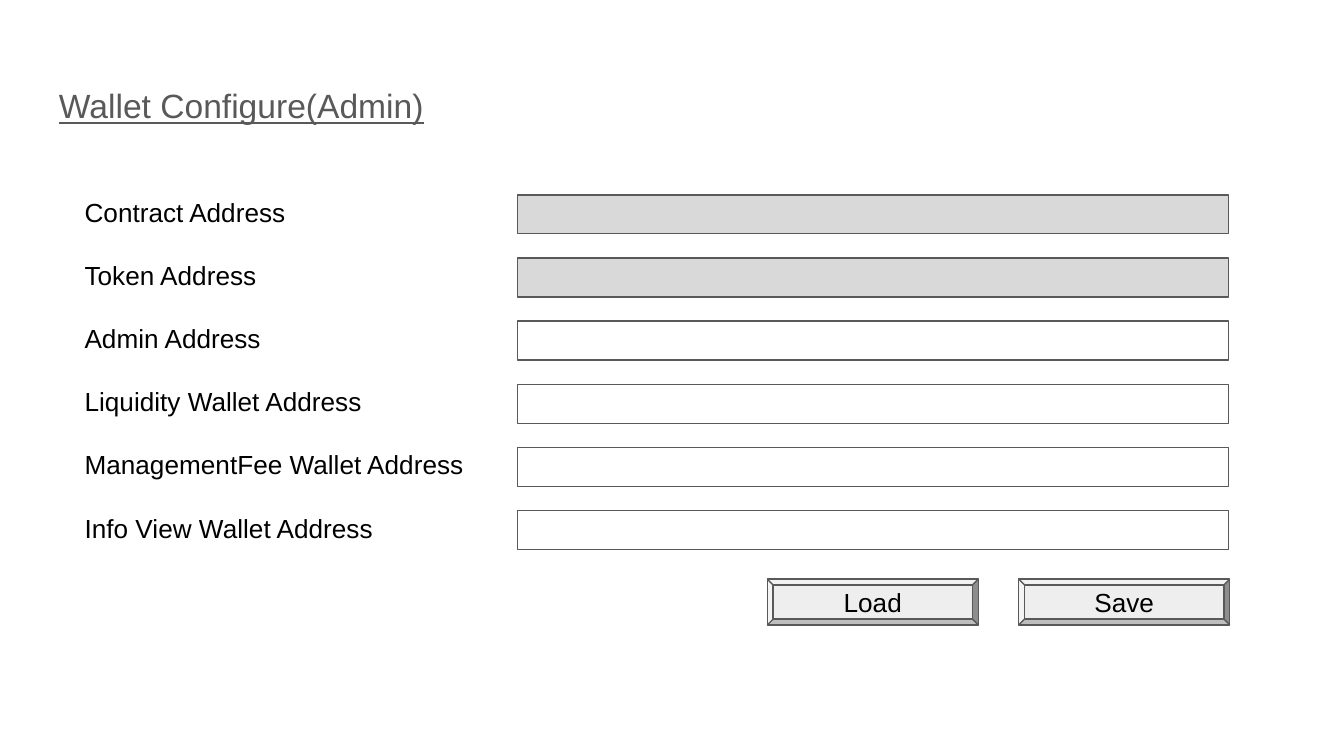
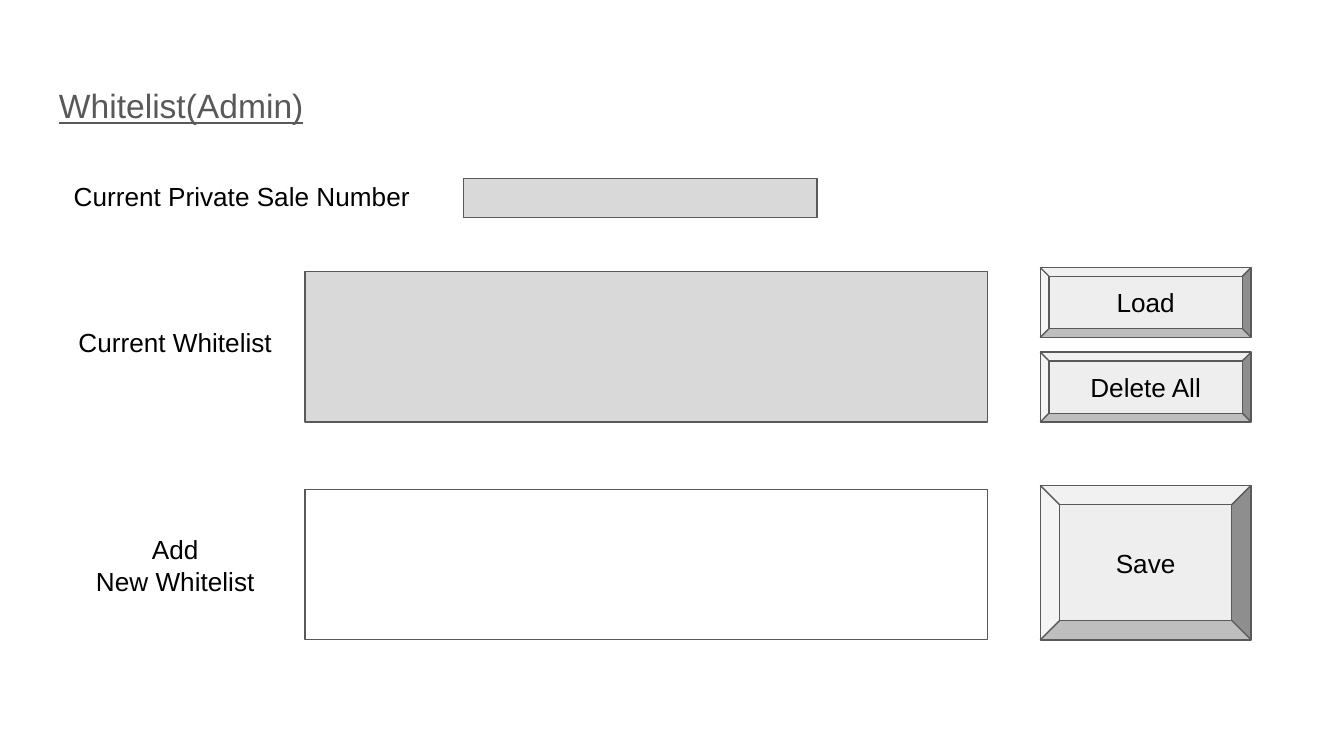
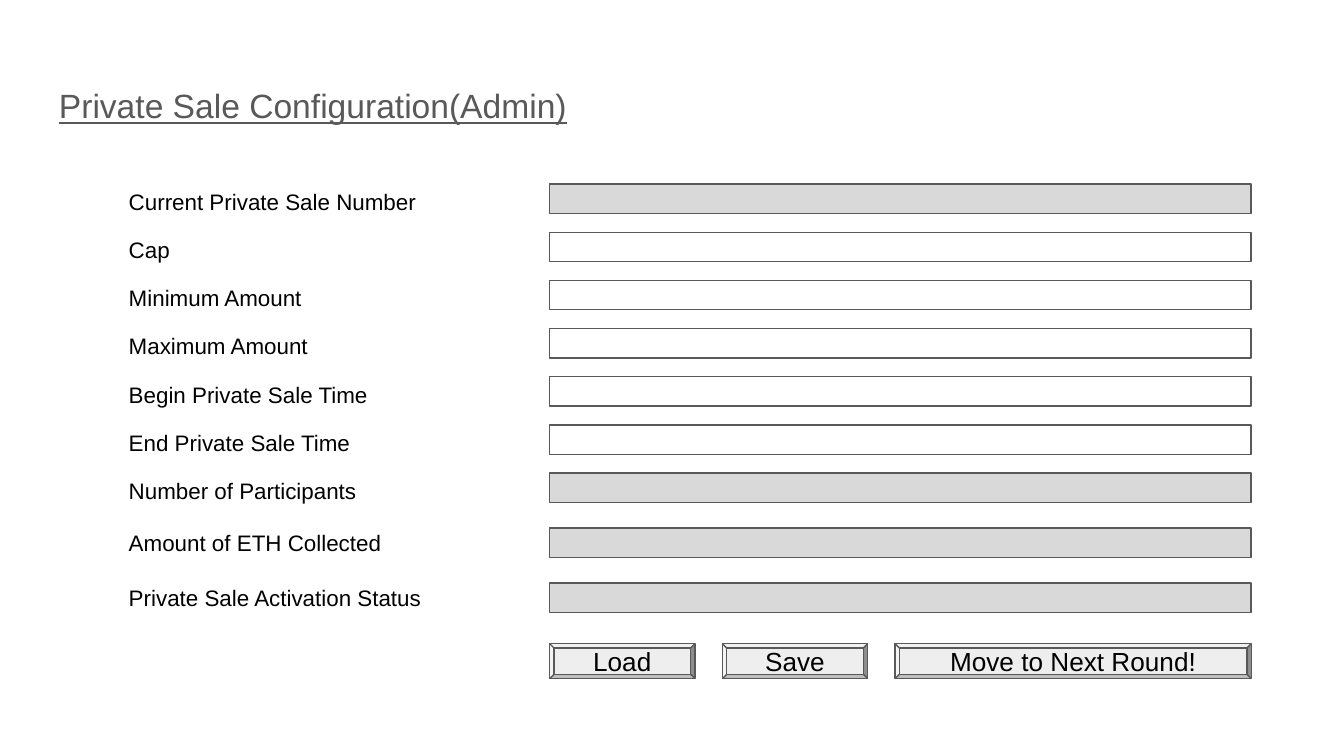
import pptx
import pptx.util
import pptx.dml.color
import pptx.enum.shapes
import pptx.enum.text

Pt = pptx.util.Pt
SHAPE = pptx.enum.shapes.MSO_SHAPE
ALIGN = pptx.enum.text.PP_ALIGN
ANCHOR = pptx.enum.text.MSO_ANCHOR

COLORS = {
    "title": "595959",
    "text": "000000",
    "line": "595959",
    "readonly": "D9D9D9",
    "button": "EEEEEE",
}
FONT = "Arial"
INSET = 7.2
TITLE_BOX = (24.5, 35.3, 671, 45.4)
ROW_H = 33.84
FIELD_H = 20.9


def rgb(name):
    return pptx.dml.color.RGBColor.from_string(COLORS[name])


def write(sp, text, size=14, color="text", align=ALIGN.LEFT, anchor=ANCHOR.TOP):
    tf = sp.text_frame
    tf.word_wrap = True
    tf.vertical_anchor = anchor
    tf.margin_left = tf.margin_right = tf.margin_top = tf.margin_bottom = Pt(INSET)
    tf.text = text
    for p in tf.paragraphs:
        p.alignment = align
        for r in p.runs:
            r.font.name = FONT
            r.font.size = Pt(size)
            r.font.color.rgb = rgb(color)
    return tf


def add_text(slide, box, text, **style):
    sp = slide.shapes.add_textbox(*map(Pt, box))
    return write(sp, text, **style)


def add_box(slide, kind, box, fill=None):
    sp = slide.shapes.add_shape(kind, *map(Pt, box))
    sp.shadow.inherit = False
    if fill:
        sp.fill.solid()
        sp.fill.fore_color.rgb = rgb(fill)
    else:
        sp.fill.background()
    sp.line.color.rgb = rgb("line")
    sp.line.width = Pt(0.75)
    return sp


def add_field(slide, box, readonly):
    add_box(slide, SHAPE.RECTANGLE, box, "readonly" if readonly else None)


def add_button(slide, box, text):
    sp = add_box(slide, SHAPE.BEVEL, box, "button")
    sp.adjustments[0] = 0.125
    write(sp, text, align=ALIGN.CENTER, anchor=ANCHOR.MIDDLE)


def add_titled_slide(prs, title):
    slide = prs.slides.add_slide(prs.slide_layouts[6])
    tf = add_text(slide, TITLE_BOX, title, size=18, color="title")
    p = tf.paragraphs[0]
    p.line_spacing = 1.15
    p.space_after = Pt(16)
    p.runs[0].font.underline = True
    return slide


def add_form(slide, box, rows, label_w, field_w, field_h=FIELD_H, size=14):
    left, top, width, height = box
    row_h = height / len(rows)
    for i, (label, readonly) in enumerate(rows):
        y = top + i * row_h
        add_text(slide, (left, y, label_w, row_h), label, size=size)
        field_y = y + (row_h - field_h) / 2
        add_field(slide, (left + width - field_w, field_y, field_w, field_h), readonly)


def add_button_row(slide, box, buttons):
    left, top, width, height = box
    gap = (width - sum(w for _, w in buttons)) / (len(buttons) - 1)
    for text, w in buttons:
        add_button(slide, (left, top, w, height), text)
        left += w + gap


def add_list_panel(slide, box, label, label_h, readonly, buttons):
    left, top, width, height = box
    label_y = top + (height - label_h) / 2
    add_text(slide, (left, label_y, 123, label_h), label, align=ALIGN.CENTER)
    add_field(slide, (left + 131, top + 2.2, 365.8, height - 2.2), readonly)
    gap, button_w = 7.9, 113
    button_h = (height + gap) / len(buttons) - gap
    for i, text in enumerate(buttons):
        y = top + i * (button_h + gap)
        add_button(slide, (left + width - button_w, y, button_w, button_h), text)


def wallet_slide(prs):
    slide = add_titled_slide(prs, "Wallet Configure(Admin)")
    rows = [
        ("Contract Address", True),
        ("Token Address", True),
        ("Admin Address", False),
        ("Liquidity Wallet Address", False),
        ("ManagementFee Wallet Address", False),
        ("Info View Wallet Address", False),
    ]
    add_form(slide, (38.2, 97.9, 620, ROW_H * len(rows)), rows, 224.6, 380.9)
    add_button_row(slide, (411.1, 310.3, 247.7, 24.5), [("Load", 113), ("Save", 113)])


def whitelist_slide(prs):
    slide = add_titled_slide(prs, "Whitelist(Admin)")
    add_form(slide, (32.4, 89.3, 405.4, ROW_H),
             [("Current Private Sale Number", True)], 200.9, 189.4)
    panels = [
        (143.3, "Current Whitelist", 33.8, True, ["Load", "Delete All"]),
        (260, "Add\nNew Whitelist", 45.4, False, ["Save"]),
    ]
    for top, *panel in panels:
        add_list_panel(slide, (32.4, top, 637.9, 82.8), *panel)


def private_sale_slide(prs):
    slide = add_titled_slide(prs, "Private Sale Configuration(Admin)")
    settings = [
        ("Current Private Sale Number", True),
        ("Cap", False),
        ("Minimum Amount", False),
        ("Maximum Amount", False),
        ("Begin Private Sale Time", False),
        ("End Private Sale Time", False),
        ("Number of Participants", True),
    ]
    results = [
        ("Amount of ETH Collected", True),
        ("Private Sale Activation Status", True),
    ]
    for top, row_h, rows in [(93.6, 25.8, settings), (276, 29.5, results)]:
        add_form(slide, (61.9, top, 608.4, row_h * len(rows)), rows,
                 213.1, 375.8, field_h=15.8, size=12)
    add_button_row(slide, (294.5, 344.9, 375.8, 18.7),
                   [("Load", 77.8), ("Save", 77.8), ("Move to Next Round!", 190.8)])


def main():
    prs = pptx.Presentation()
    prs.slide_width = Pt(720)
    prs.slide_height = Pt(405)
    wallet_slide(prs)
    whitelist_slide(prs)
    private_sale_slide(prs)
    prs.save("out.pptx")


if __name__ == "__main__":
    main()
